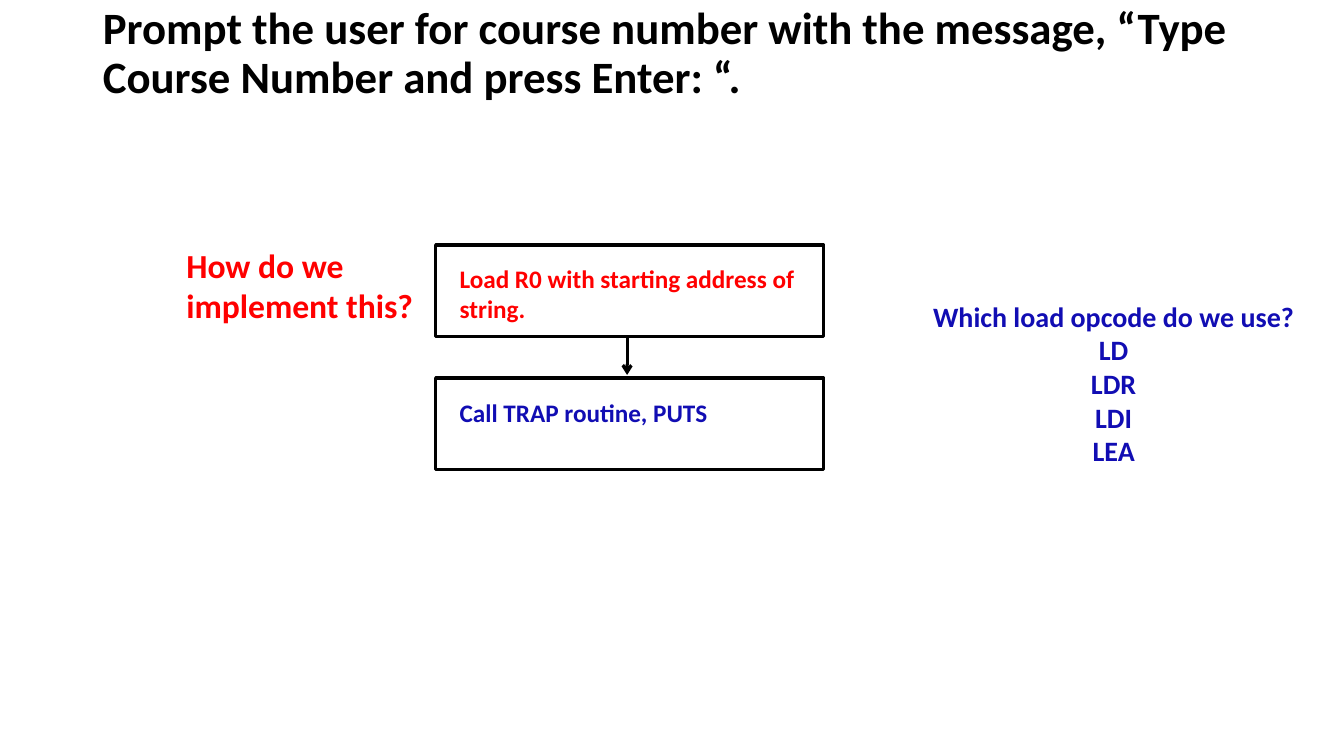
from lxml import etree
from pptx import Presentation
from pptx import util as u
from pptx.dml.color import RGBColor
from pptx.enum import shapes, text
from pptx.oxml.ns import qn

PX = 9144  # EMU per px, 100 px to the inch
BLACK, WHITE, RED, BLUE = "000000", "FFFFFF", "FF0000", "110DB3"
LEFT, ALIGN_MID = text.PP_ALIGN.LEFT, text.PP_ALIGN.CENTER

# Flow boxes: top edge, label top, label height, label, colour
STEPS = [
    (243, 256, 71, "Load R0 with starting address of string.", RED),
    (375, 389, 40, "Call TRAP routine, PUTS", BLUE),
]
BOX_X, BOX_W, BOX_H = 432, 385, 91


def px(*nums):
    return [u.Emu(n * PX) for n in nums]


def paint(color, code):
    color.rgb = RGBColor.from_string(code)


def write(frame, lines, size, code, align=LEFT):
    """Fill a text frame with one bold paragraph per line."""
    frame.word_wrap = True
    for i, line in enumerate(lines):
        para = frame.add_paragraph() if i else frame.paragraphs[0]
        para.alignment = align
        run = para.add_run()
        run.text = line
        font = run.font
        font.name, font.size, font.bold = "Calibri", u.Pt(size), True
        paint(font.color, code)


def add_title(slide, line):
    title = slide.shapes.title
    title.left, title.top, title.width, title.height = px(92, 6, 1150, 144)
    frame = title.text_frame
    frame.auto_size = text.MSO_AUTO_SIZE.NONE
    frame.vertical_anchor = text.MSO_ANCHOR.TOP
    frame.margin_top = 0
    write(frame, [line], 32, BLACK)
    frame.paragraphs[0].line_spacing = 0.9


def add_note(slide, place, lines, size, code, align=LEFT):
    box = slide.shapes.add_textbox(*px(*place))
    write(box.text_frame, lines, size, code, align)


def set_line(line):
    paint(line.color, BLACK)
    line.width = u.Pt(2.25)


def add_box(slide, top):
    box = slide.shapes.add_shape(
        shapes.MSO_SHAPE.RECTANGLE, *px(BOX_X, top, BOX_W, BOX_H))
    box.shadow.inherit = False
    box.fill.solid()
    paint(box.fill.fore_color, WHITE)
    set_line(box.line)


def add_arrow(slide, x, top, end):
    link = slide.shapes.add_connector(
        shapes.MSO_CONNECTOR.STRAIGHT, *px(x, top, x, end))
    set_line(link.line)
    props = link.line._get_or_add_ln()
    etree.SubElement(props, qn("a:tailEnd"), type="arrow")
    etree.SubElement(link._element.spPr, qn("a:effectLst"))


def main():
    deck = Presentation()
    deck.slide_width, deck.slide_height = px(1333, 750)
    slide = deck.slides.add_slide(deck.slide_layouts[5])

    add_title(slide, "Prompt the user for course number with the message, "
                     "“Type Course Number and press Enter: “.")

    # Flow chart
    for top, y, high, label, code in STEPS:
        add_box(slide, top)
        add_note(slide, (446, y, 359, high), [label], 18, code)
    add_arrow(slide, 622, STEPS[0][0] + BOX_H, 372)

    # Questions on either side
    add_note(slide, (175, 238, 253, 91), ["How do we implement this?"], 24, RED)
    add_note(slide, (905, 292, 399, 178),
             ["Which load opcode do we use?", "LD", "LDR", "LDI", "LEA"],
             20, BLUE, ALIGN_MID)

    deck.save("out.pptx")


if __name__ == "__main__":
    main()
